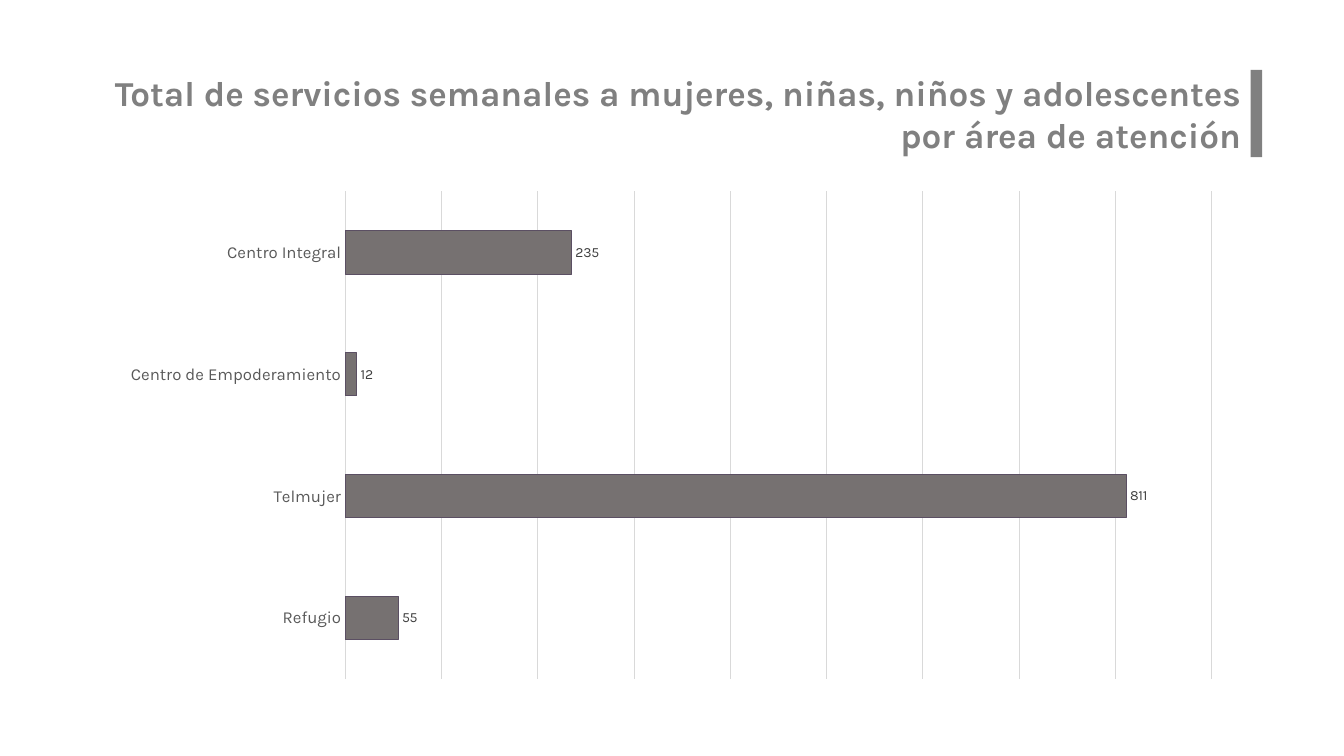
"""Build the slide of weekly services by area of attention."""
from lxml import etree
from pptx import Presentation
from pptx.chart.data import CategoryChartData
from pptx.dml.color import RGBColor
from pptx.enum.chart import XL_CHART_TYPE, XL_LABEL_POSITION, XL_TICK_MARK
from pptx.enum.shapes import MSO_SHAPE
from pptx.enum.text import PP_ALIGN
from pptx.oxml.ns import qn
from pptx.util import Cm, Pt

SERVICES = {
    "Centro Integral": 235,
    "Centro de Empoderamiento": 12,
    "Telmujer": 811,
    "Refugio": 55,
}


def color(value):
    return RGBColor.from_string(value)


class SlideBuilder:
    FONT = "Karla"
    ACCENT = "808080"
    BAR, BAR_EDGE = "767171", "5B4F63"
    GRID, AXIS_TEXT, LABEL_TEXT = "D9D9D9", "595959", "404040"

    def __init__(self, slide):
        self.slide = slide

    def style(self, font, size, hue, bold=False):
        font.name, font.size, font.bold = self.FONT, Pt(size), bold
        font.color.rgb = color(hue)

    def outline(self, line, hue):
        line.color.rgb = color(hue)
        line.width = Pt(0.75)

    def accent_bar(self, *box):
        bar = self.slide.shapes.add_shape(MSO_SHAPE.RECTANGLE, *map(Cm, box))
        bar.shadow.inherit = False
        bar.fill.solid()
        bar.fill.fore_color.rgb = color(self.ACCENT)
        bar.line.fill.background()

    def title(self, text, *box):
        frame = self.slide.shapes.add_textbox(*map(Cm, box)).text_frame
        frame.word_wrap = True
        paragraph = frame.paragraphs[0]
        paragraph.alignment = PP_ALIGN.RIGHT
        run = paragraph.add_run()
        run.text = text
        self.style(run.font, 25, self.ACCENT, bold=True)

    def bar_chart(self, values, *box):
        data = CategoryChartData()
        data.categories = list(values)
        data.add_series("Series 1", list(values.values()))
        chart = self.slide.shapes.add_chart(
            XL_CHART_TYPE.BAR_CLUSTERED, *map(Cm, box), data).chart
        chart.has_legend = chart.has_title = False
        self.style(chart.font, 10, "000000")
        self.category_axis(chart.category_axis)
        self.value_axis(chart.value_axis)
        self.bars(chart.plots[0])
        self.place_plot(chart, x=0.21, y=0.02, w=0.77, h=0.96)

    def category_axis(self, axis):
        axis.reverse_order = True
        axis.major_tick_mark = axis.minor_tick_mark = XL_TICK_MARK.NONE
        axis.has_major_gridlines = False
        self.style(axis.tick_labels.font, 12, self.AXIS_TEXT)
        self.outline(axis.format.line, self.GRID)

    def value_axis(self, axis):
        axis.visible = False
        axis.minimum_scale, axis.maximum_scale, axis.major_unit = 0, 900, 100
        axis.has_major_gridlines = True
        self.outline(axis.major_gridlines.format.line, self.GRID)

    def bars(self, plot):
        plot.gap_width = 182
        plot.vary_by_categories = False
        series = plot.series[0]
        series.format.fill.solid()
        series.format.fill.fore_color.rgb = color(self.BAR)
        self.outline(series.format.line, self.BAR_EDGE)
        labels = series.data_labels
        labels.show_value = True
        labels.position = XL_LABEL_POSITION.OUTSIDE_END
        self.style(labels.font, 10, self.LABEL_TEXT)

    def place_plot(self, chart, **fractions):
        area = chart.plots[0]._element.getparent()
        for old in area.findall(qn("c:layout")):
            area.remove(old)
        layout = etree.Element(qn("c:layout"))
        area.insert(0, layout)
        manual = etree.SubElement(layout, qn("c:manualLayout"))
        settings = {"layoutTarget": "inner", "xMode": "edge", "yMode": "edge"}
        for tag, value in {**settings, **fractions}.items():
            etree.SubElement(manual, qn(f"c:{tag}"), val=str(value))


presentation = Presentation()
presentation.slide_width, presentation.slide_height = Cm(33.87), Cm(19.05)
builder = SlideBuilder(presentation.slides.add_slide(presentation.slide_layouts[6]))
builder.accent_bar(31.52, 1.76, 0.29, 2.2)
builder.title(
    "Total de servicios semanales a mujeres, niñas, niños y adolescentes "
    "por área de atención", 1.75, 1.68, 29.77, 2.39)
builder.bar_chart(SERVICES, 2.74, 4.57, 28.37, 12.8)
presentation.save("out.pptx")
